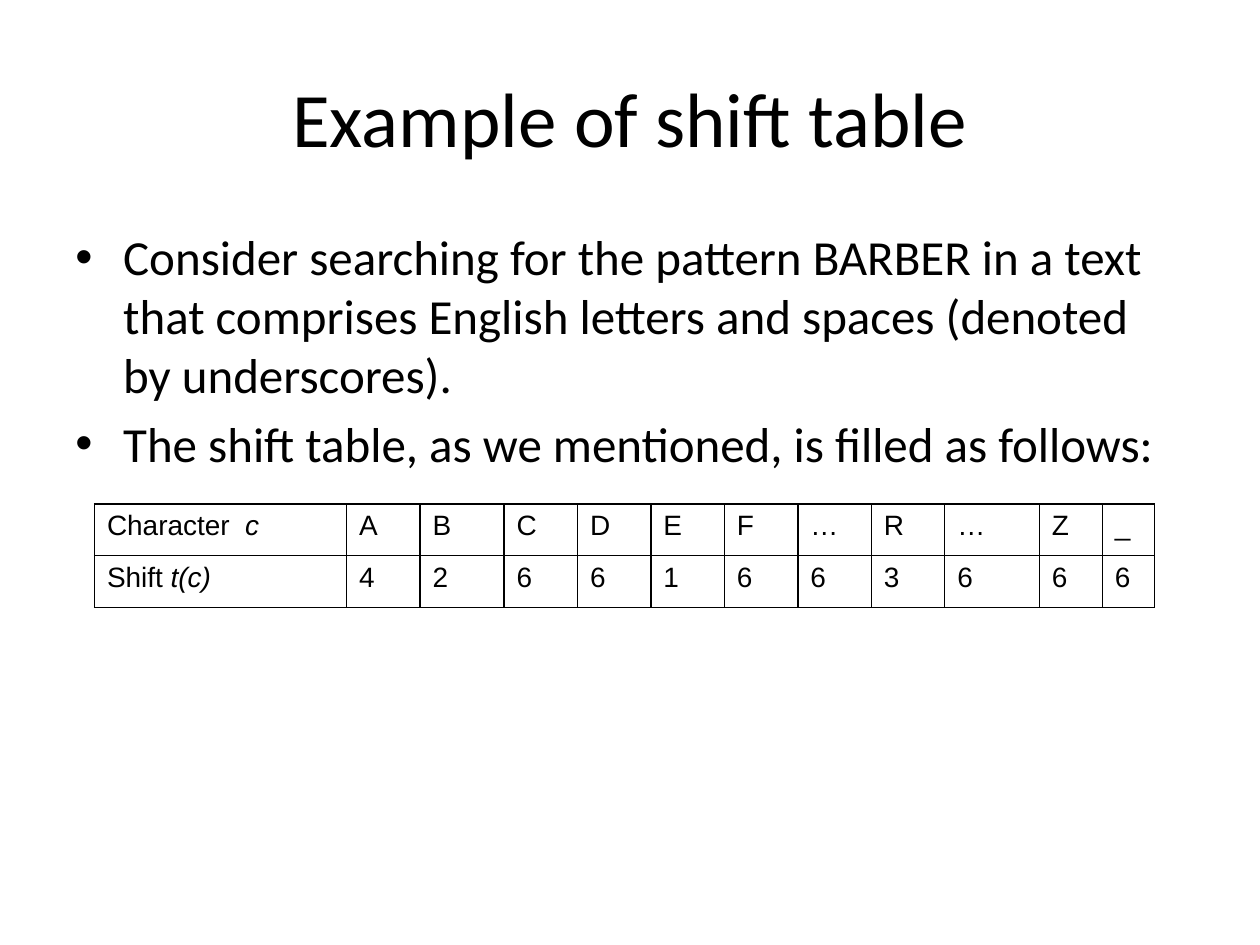
"""Build a slide showing the shift table for the pattern BARBER."""
import pptx
import pptx.dml.color
import pptx.enum.text
import pptx.oxml
import pptx.oxml.ns
import pptx.util

BLACK = pptx.dml.color.RGBColor(0, 0, 0)
WHITE = pptx.dml.color.RGBColor(255, 255, 255)
WIDTH = pptx.util.Inches(10)
HEIGHT = pptx.util.Inches(7.5)
MARGIN = WIDTH * 0.05
INDENT = pptx.util.Inches(0.38)
COLUMN_UNIT = WIDTH / 120
COLUMN_UNITS = [24, 7, 8, 7, 7, 7, 7, 7, 7, 9, 6, 5]
ROW_HEIGHT = pptx.util.Inches(0.41)
NAMESPACE = pptx.oxml.ns.nsdecls("a")


def add_span(para, text, size, font, italic=False):
    span = para.add_run()
    span.text = text
    span.font.size = pptx.util.Pt(size)
    span.font.name = font
    span.font.italic = italic
    span.font.color.rgb = BLACK


def add_box(page, top, height, anchor):
    box = page.shapes.add_textbox(int(MARGIN), int(top), int(WIDTH - 2 * MARGIN), int(height))
    box.text_frame.word_wrap = True
    box.text_frame.vertical_anchor = anchor
    return box.text_frame


deck = pptx.Presentation()
deck.slide_width = WIDTH
deck.slide_height = HEIGHT
page = deck.slides.add_slide(deck.slide_layouts[6])
page.background.fill.solid()
page.background.fill.fore_color.rgb = WHITE

title = add_box(page, HEIGHT * 0.04, HEIGHT / 6, pptx.enum.text.MSO_ANCHOR.MIDDLE)
title.paragraphs[0].alignment = pptx.enum.text.PP_ALIGN.CENTER
add_span(title.paragraphs[0], "Example of shift table", 44, "Calibri")

bullets = [
    "Consider searching for the pattern BARBER in a text that comprises "
    "English letters and spaces (denoted by underscores).",
    "The shift table, as we mentioned, is filled as follows:",
]
body = add_box(page, HEIGHT * 7 / 30, HEIGHT * 0.3, pptx.enum.text.MSO_ANCHOR.TOP)
for index, text in enumerate(bullets):
    para = body.add_paragraph() if index else body.paragraphs[0]
    para.space_before = pptx.util.Pt(5.6 if index else 0)
    properties = para._p.get_or_add_pPr()
    properties.set("marL", str(INDENT))
    properties.set("indent", str(-INDENT))
    for bullet in ('<a:buFont %s typeface="Arial"/>', '<a:buChar %s char="•"/>'):
        properties.append(pptx.oxml.parse_xml(bullet % NAMESPACE))
    add_span(para, text, 28, "Calibri")

rows = [
    [("Character ", " c"), *"ABCDEF…R…Z_"],
    [("Shift ", "t(c)"), *"42661663666"],
]
frame = page.shapes.add_table(
    len(rows), len(COLUMN_UNITS), int(WIDTH * 0.075), int(HEIGHT * 8 / 15),
    int(sum(COLUMN_UNITS) * COLUMN_UNIT), ROW_HEIGHT * len(rows))
table = frame.table
table.first_row = False
table.horz_banding = False
for column, units in zip(table.columns, COLUMN_UNITS):
    column.width = int(units * COLUMN_UNIT)
for row_index, row in enumerate(rows):
    table.rows[row_index].height = ROW_HEIGHT
    for column_index, spans in enumerate(row):
        cell = table.cell(row_index, column_index)
        for order, text in enumerate(spans):
            add_span(cell.text_frame.paragraphs[0], text, 16, "Arial", italic=order == 1)
        for side in "LRTB":
            cell._tc.get_or_add_tcPr().append(pptx.oxml.parse_xml(
                f'<a:ln{side} {NAMESPACE} w="{pptx.util.Pt(1)}"><a:solidFill>'
                f'<a:srgbClr val="{BLACK}"/></a:solidFill></a:ln{side}>'))
        cell.fill.background()

deck.save("out.pptx")
